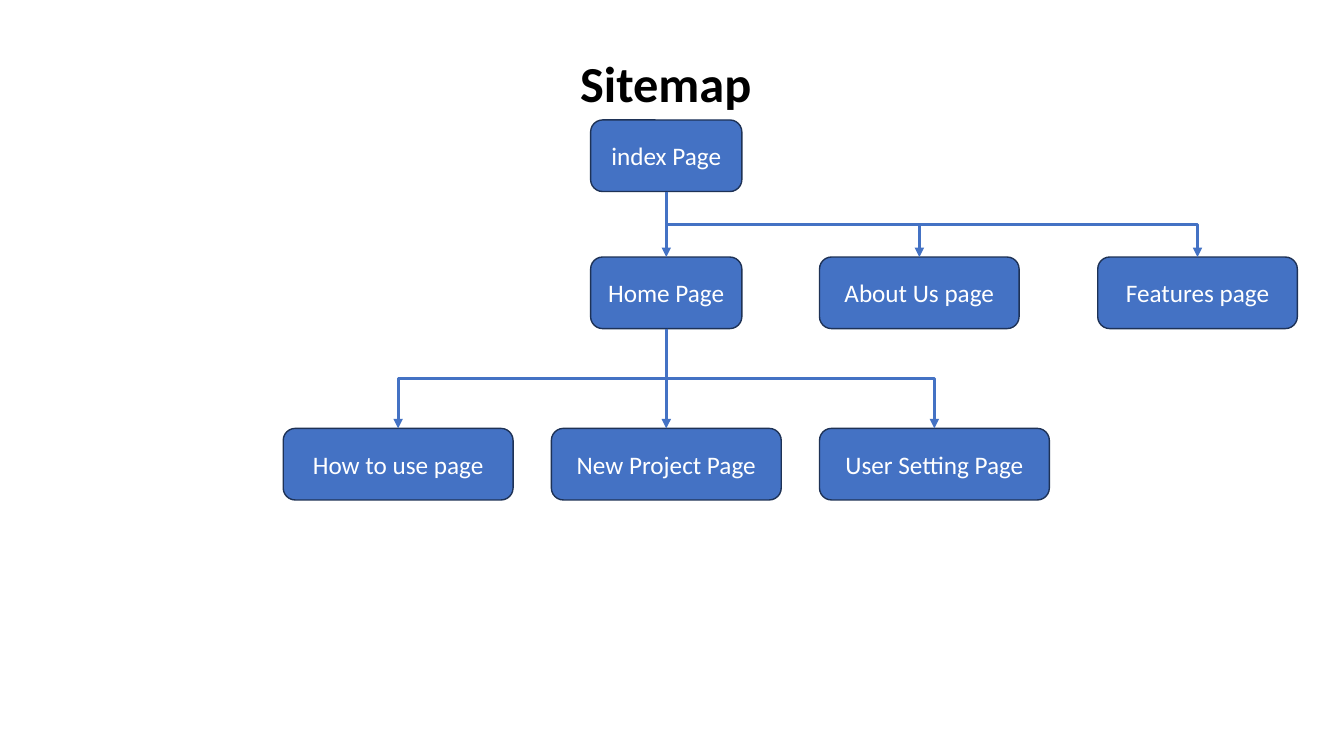
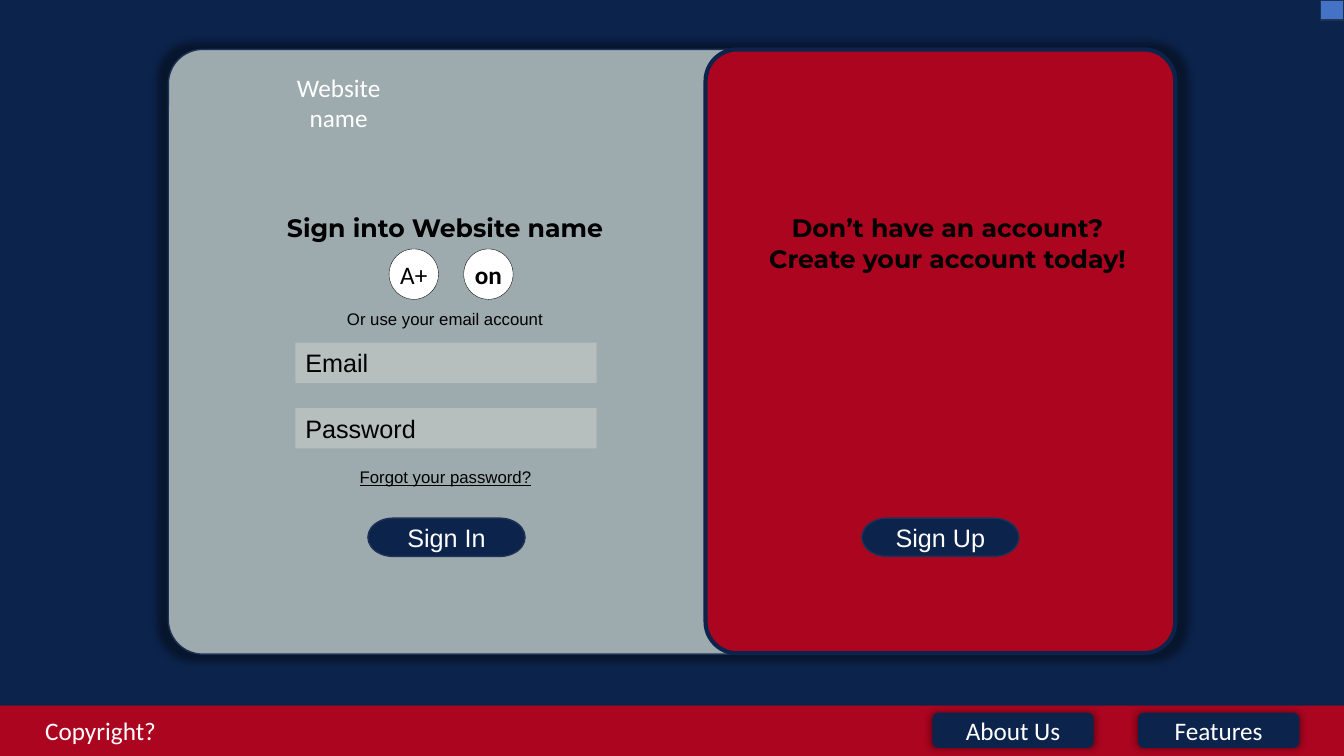
import pptx
import pptx.util
import pptx.dml.color
import pptx.enum.shapes
import pptx.enum.text
import pptx.oxml
import pptx.oxml.ns

px = 9144  # 100 px to the inch
pt = pptx.util.Pt
qn = pptx.oxml.ns.qn
hue = pptx.dml.color.RGBColor.from_string
kinds = pptx.enum.shapes.MSO_SHAPE
links = pptx.enum.shapes.MSO_CONNECTOR
aligns = pptx.enum.text.PP_ALIGN
anchors = pptx.enum.text.MSO_ANCHOR
main_ns = pptx.oxml.ns.nsdecls("a")

# Shared colours
blue, edge, navy, red = "4472C4", "1E3256", "0C234B", "AB0520"
grey, cream, white, black = "9EABAE", "F4EDE5", "FFFFFF", "000000"

glow = (
    f'<a:effectLst {main_ns}><a:outerShdw blurRad="63500" sx="102000" sy="102000" '
    'algn="ctr" rotWithShape="0"><a:srgbClr val="000000"><a:alpha val="40000"/>'
    '</a:srgbClr></a:outerShdw></a:effectLst>'
)


def label(shape, text, color=white, font="Calibri", size=18, bold=False,
          align=aligns.CENTER, anchor=anchors.TOP):
    frame = shape.text_frame
    frame.word_wrap = True
    frame.vertical_anchor = anchor
    frame.text = text
    para = frame.paragraphs[0]
    para.alignment = align
    para.font.name = font
    para.font.size = pt(size)
    para.font.bold = bold
    para.font.color.rgb = hue(color)
    return para


def block(slide, kind, rect, fill, line=None, width=1, round=None, glows=False):
    shape = slide.shapes.add_shape(kind, *[side * px for side in rect])
    shape.shadow.inherit = False
    shape.fill.solid()
    shape.fill.fore_color.rgb = hue(fill)
    if line:
        shape.line.color.rgb = hue(line)
        shape.line.width = pt(width)
    else:
        shape.line.fill.background()
    if round is not None:
        shape.adjustments[0] = round
    if glows:
        props = shape._element.spPr
        props.remove(props.find(qn("a:effectLst")))
        props.append(pptx.oxml.parse_xml(glow))
    return shape


deck = pptx.Presentation()
deck.slide_width = pptx.util.Inches(13.333)
deck.slide_height = 750 * px

# Slide 1: title
page = deck.slides.add_slide(deck.slide_layouts[5])
title = page.shapes.title
title.left, title.top, title.width, title.height = [
    side * px for side in (479, 47, 363, 71)]
label(title, "Sitemap", black, size=36, bold=True)
title.text_frame.auto_size = pptx.enum.text.MSO_AUTO_SIZE.NONE

# Slide 1: page boxes, as text, left, top, width, parent
tree = [
    ("index Page", 586, 119, 150, None),
    ("Home Page", 586, 255, 150, "index Page"),
    ("About Us page", 813, 255, 198, "index Page"),
    ("Features page", 1089, 255, 198, "index Page"),
    ("How to use page", 281, 425, 228, "Home Page"),
    ("New Project Page", 547, 425, 228, "Home Page"),
    ("User Setting Page", 813, 425, 228, "Home Page"),
]
nodes = {}
for text, left, top, width, parent in tree:
    node = block(page, kinds.ROUNDED_RECTANGLE, (left, top, width, 71), blue, edge)
    label(node, text, anchor=anchors.MIDDLE)
    nodes[text] = node

# Slide 1: arrows from each parent to its pages
for text, left, top, width, parent in tree:
    if not parent:
        continue
    start, end = nodes[parent], nodes[text]
    from_x, from_y = start.left + start.width // 2, start.top + start.height
    to_x, to_y = end.left + end.width // 2, end.top
    if from_x == to_x:
        link = page.shapes.add_connector(links.STRAIGHT, from_x, from_y, to_x, to_y)
        link.begin_connect(start, 2)
        link.end_connect(end, 0)
    else:
        # An elbow that leaves downwards is a level one, turned about its middle
        drop, span = to_y - from_y, abs(to_x - from_x)
        west = (from_x + to_x - drop) // 2
        north = (from_y + to_y - span) // 2
        ends, turn = (west, west + drop), 90
        if to_x > from_x:
            ends, turn = (west + drop, west), 270
        link = page.shapes.add_connector(
            links.ELBOW, ends[0], north, ends[1], north + span)
        link._element.spPr.find(qn("a:xfrm")).set("rot", str(turn * 60000))
    link.line.color.rgb = hue(blue)
    link.line.width = pt(2.25)
    link.line._get_or_add_ln().append(
        pptx.oxml.parse_xml(f'<a:tailEnd {main_ns} type="triangle"/>'))
    link._element.spPr.append(pptx.oxml.parse_xml(f"<a:effectLst {main_ns}/>"))

# Slide 2: background and footer
page = deck.slides.add_slide(deck.slide_layouts[6])
page.background.fill.solid()
page.background.fill.fore_color.rgb = hue(navy)
block(page, kinds.RECTANGLE, (0, 700, 1334, 50), red)
for text, left in (("About Us", 925), ("Features", 1129)):
    tab = block(page, kinds.ROUNDED_RECTANGLE, (left, 707, 160, 35), navy, glows=True)
    label(tab, text, anchor=anchors.MIDDLE)

# Slide 2: sign-in card and sign-up panel
block(page, kinds.ROUNDED_RECTANGLE, (167, 49, 1000, 600), grey, edge,
      round=0.057, glows=True)
block(page, kinds.ROUNDED_RECTANGLE, (700, 49, 466, 599), red, navy, 3, round=0.067)

# Slide 2: round badges, with no margins so that the text fits on one line
for text, left, bold in (("A+", 386, False), ("on", 460, True)):
    badge = block(page, kinds.OVAL, (left, 247, 49, 50), white, black, 0.25)
    label(badge, text, black, bold=bold, anchor=anchors.MIDDLE)
    frame = badge.text_frame
    frame.margin_left = frame.margin_right = 0
    frame.margin_top = frame.margin_bottom = 0
    frame.word_wrap = False

# Slide 2: entry fields
for text, top in (("Email", 340), ("Password", 405)):
    field = block(page, kinds.RECTANGLE, (293, top, 299, 40), cream)
    tint = field._element.spPr.find(qn("a:solidFill"))[0]
    tint.append(pptx.oxml.parse_xml(f'<a:alpha {main_ns} val="30000"/>'))
    label(field, text, black, "Arial", align=aligns.LEFT)

# Slide 2: pill buttons
for text, left in (("Sign In", 365), ("Sign Up", 855)):
    pill = block(page, kinds.FLOWCHART_TERMINATOR, (left, 514, 156, 38), navy, edge)
    label(pill, text, font="Arial", anchor=anchors.MIDDLE)

# Slide 2: plain texts, as text, place, colour, font, size, bold, alignment
mid, near = aligns.CENTER, aligns.LEFT
notes = [
    ("Copyright?", (35, 705, 132, 40), white, "Calibri", 18, False, near),
    ("Website name", (260, 67, 152, 71), white, "Calibri", 18, False, mid),
    ("Sign into Website name", (265, 206, 353, 40), black, "Montserrat", 18, True, mid),
    ("Or use your email account", (333, 301, 217, 30), black, "Arial", 12, False, mid),
    ("Forgot your password?", (340, 458, 204, 30), black, "Arial", 12, False, mid),
    ("Don’t have an account? Create your account today!", (738, 206, 404, 71),
     black, "Montserrat", 18, True, mid),
]
for text, rect, color, font, size, bold, align in notes:
    area = page.shapes.add_textbox(*[side * px for side in rect])
    para = label(area, text, color, font, size, bold, align)
    para.font.underline = text.startswith("Forgot")

# Slide 2: corner button
block(page, kinds.ACTION_BUTTON_CUSTOM, (1310, 0, 23, 20), blue, edge)

deck.save("out.pptx")
